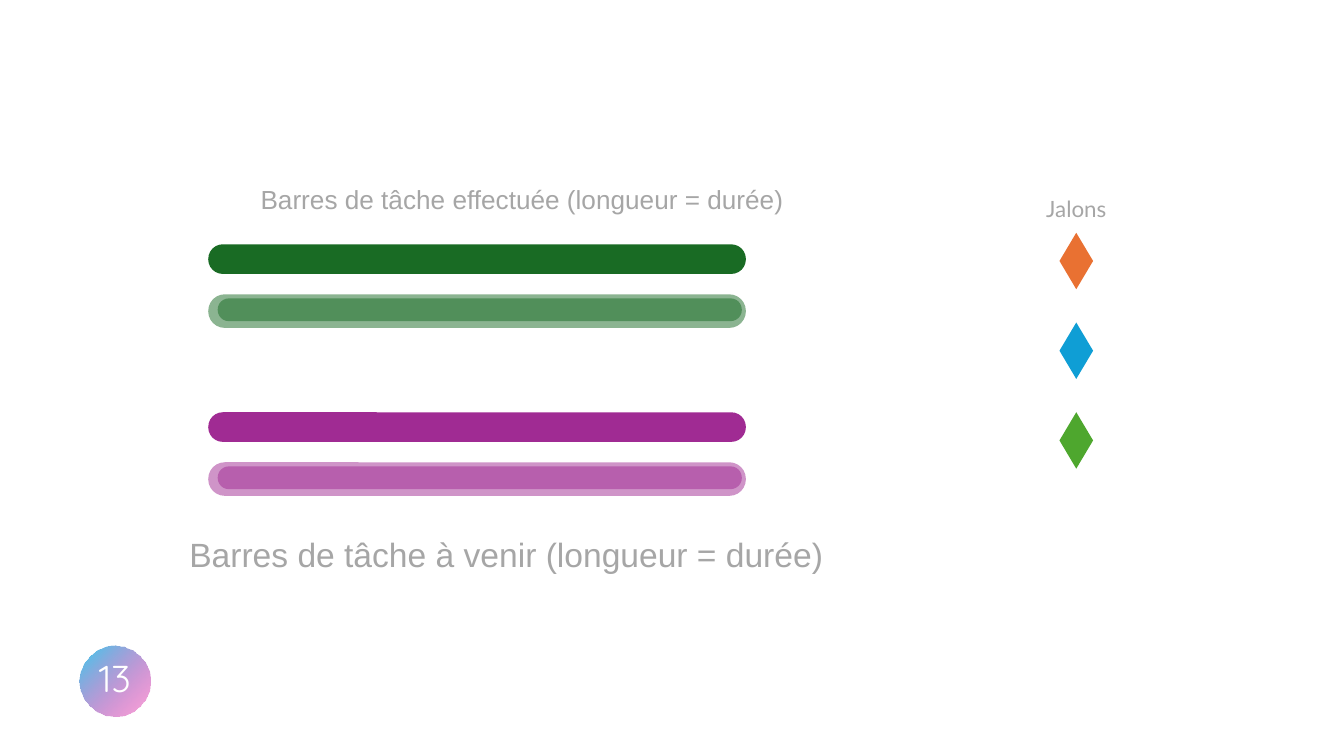
import lxml.etree
import pptx
import pptx.dml.color
import pptx.enum.shapes
import pptx.enum.text
import pptx.oxml.ns
import pptx.util

WIDTH = pptx.util.Inches(10)
HEIGHT = WIDTH * 9 // 16
SHAPES = pptx.enum.shapes.MSO_SHAPE
COLOURS = {
    "done": "196B24",
    "upcoming": "A02B93",
    "orange": "E97132",
    "blue": "0F9ED5",
    "green": "4EA72E",
    "label": "A6A6A6",
    "number": "FFFFFF",
    "badge_start": "34D1F0",
    "badge_end": "F30497",
}


def colour(name):
    """Return the named colour."""
    return pptx.dml.color.RGBColor.from_string(COLOURS[name])


def place(left, top, width, height):
    """Turn percentages of the slide into lengths."""
    return (
        int(WIDTH * left / 100),
        int(HEIGHT * top / 100),
        int(WIDTH * width / 100),
        int(HEIGHT * height / 100),
    )


def set_opacity(figure, percent):
    """Set the opacity of the last fill colour of a figure."""
    value = list(figure.element.spPr.iter(pptx.oxml.ns.qn("a:srgbClr")))[-1]
    alpha = lxml.etree.SubElement(value, pptx.oxml.ns.qn("a:alpha"))
    alpha.set("val", str(percent * 1000))


def add_figure(page, kind, area, fill=None, opacity=100):
    """Add a preset shape without outline, filled if a colour is given."""
    figure = page.shapes.add_shape(kind, *place(*area))
    figure.shadow.inherit = False
    figure.line.fill.background()
    if fill:
        figure.fill.solid()
        figure.fill.fore_color.rgb = colour(fill)
    if opacity < 100:
        set_opacity(figure, opacity)
    return figure


def add_bar(page, area, fill, opacity):
    """Add one rounded bar."""
    bar = add_figure(page, SHAPES.ROUNDED_RECTANGLE, area, fill, opacity)
    bar.adjustments[0] = 0.49


def add_task(page, top, fill):
    """Add a solid double bar with a translucent double bar below it."""
    add_bar(page, (15.5, top, 40, 3.91), fill, 100)
    add_bar(page, (16, top + 0.53, 39.1, 3.02), fill, 100)
    add_bar(page, (15.5, top + 6.62, 40, 4.44), fill, 50)
    add_bar(page, (16.2, top + 7.15, 39, 3.02), fill, 50)


def add_label(page, area, text, font, size, fill="label"):
    """Add a centred line of text."""
    box = page.shapes.add_textbox(*place(*area))
    box.text_frame.word_wrap = True
    box.text_frame.auto_size = pptx.enum.text.MSO_AUTO_SIZE.SHAPE_TO_FIT_TEXT
    para = box.text_frame.paragraphs[0]
    para.text = text
    para.alignment = pptx.enum.text.PP_ALIGN.CENTER
    para.font.name = font
    para.font.size = pptx.util.Pt(size)
    para.font.color.rgb = colour(fill)
    return box


def add_badge(page, number):
    """Add the page number on a gradient disc."""
    disc = add_figure(page, SHAPES.OVAL, (5.9, 85.36, 5.3, 9.42))
    disc.fill.gradient()
    disc.fill.gradient_angle = 315
    for stop, name, position in zip(
        disc.fill.gradient_stops, ("badge_start", "badge_end"), (0, 1)
    ):
        stop.color.rgb = colour(name)
        stop.position = position
    set_opacity(disc, 34)
    box = add_label(page, (5, 85.36, 7.1, 9.42), number, "Quicksand", 20, "number")
    frame = box.text_frame
    frame.auto_size = pptx.enum.text.MSO_AUTO_SIZE.NONE
    frame.vertical_anchor = pptx.enum.text.MSO_ANCHOR.MIDDLE
    frame.margin_top = frame.margin_bottom = pptx.util.Inches(0.1)
    frame.paragraphs[0].line_spacing = 0.9


def main():
    """Build the slide and save it."""
    deck = pptx.Presentation()
    deck.slide_width, deck.slide_height = WIDTH, HEIGHT
    page = deck.slides.add_slide(deck.slide_layouts[6])
    for row, fill in enumerate(("done", "upcoming")):
        add_task(page, 32.32 + 22.22 * row, fill)
    for row, fill in enumerate(("orange", "blue", "green")):
        area = (78.83, 30.79 + 11.87 * row, 2.5, 7.47)
        add_figure(page, SHAPES.FLOWCHART_DECISION, area, fill)
    for area, text, font, size in (
        ((11.9, 23.4, 53.9, 7.11), "Barres de tâche effectuée (longueur = durée)", "Arial", 14),
        ((71.03, 24.89, 18.1, 5.33), "Jalons", "Lato", 12),
        ((4.33, 69.8, 66.7, 7.11), "Barres de tâche à venir (longueur = durée)", "Arial", 18),
    ):
        add_label(page, area, text, font, size)
    add_badge(page, "13")
    deck.save("out.pptx")


if __name__ == "__main__":
    main()
